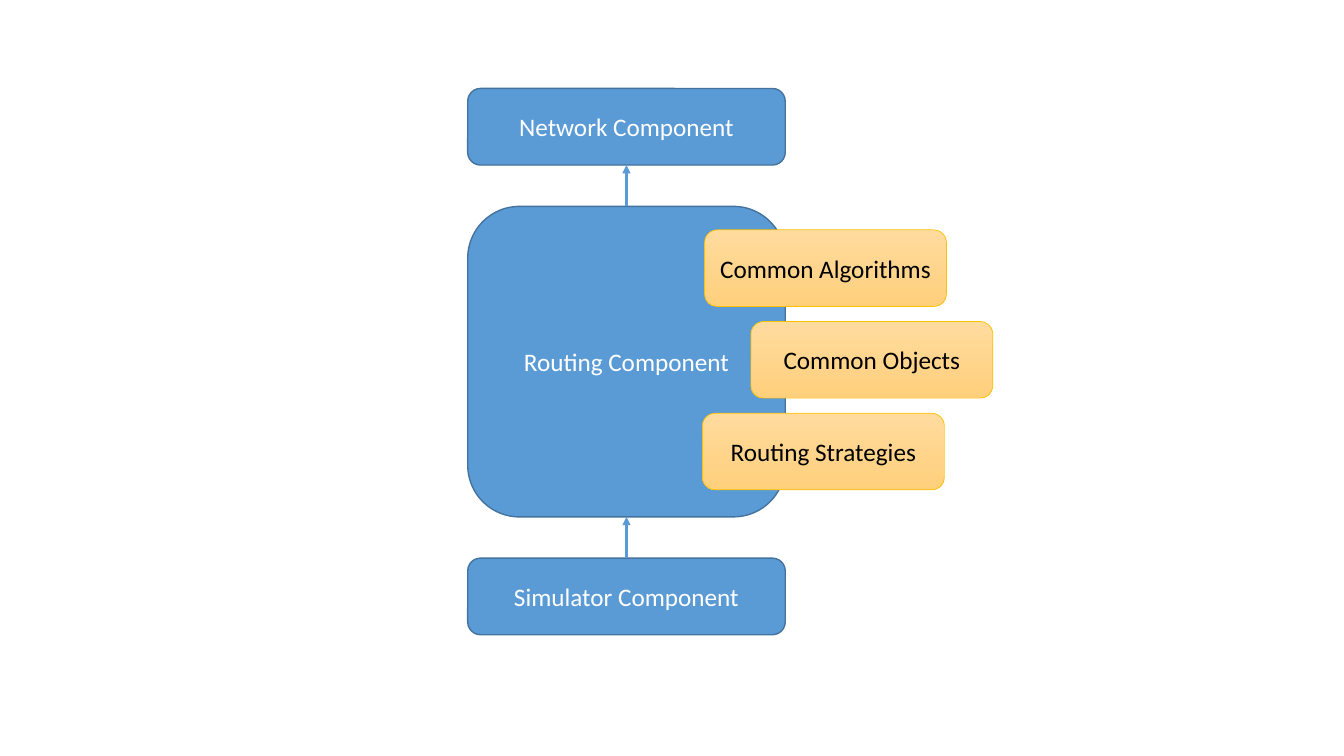
from lxml.etree import SubElement
from pptx import Presentation
from pptx.dml.color import RGBColor
from pptx.enum.shapes import MSO_CONNECTOR, MSO_SHAPE
from pptx.enum.text import MSO_ANCHOR, PP_ALIGN
from pptx.oxml.ns import qn
from pptx.util import Pt

BLUE, BLUE_EDGE = "5B9BD5", "43739E"
AMBER, AMBER_EDGE = ("FFDB9E", "FFD07C"), "FFC000"
TOP_SITE, BOTTOM_SITE = 0, 2


def color(hex_string):
    return RGBColor.from_string(hex_string)


def write(shape, text, font="Calibri", size=18, ink="FFFFFF"):
    frame = shape.text_frame
    frame.word_wrap = True
    frame.vertical_anchor = MSO_ANCHOR.MIDDLE
    para = frame.paragraphs[0]
    para.alignment = PP_ALIGN.CENTER
    span = para.add_run()
    span.text = text
    span.font.name = font
    span.font.size = Pt(size)
    span.font.color.rgb = color(ink)


class Diagram:
    def __init__(self, page):
        self.page = page

    def box(self, text, left, top, width, height, fill, edge, weight, ink):
        """Rounded box; a pair of fill colours makes a vertical gradient."""
        box = self.page.shapes.add_shape(
            MSO_SHAPE.ROUNDED_RECTANGLE, Pt(left), Pt(top), Pt(width), Pt(height))
        box.shadow.inherit = False
        if isinstance(fill, tuple):
            box.fill.gradient()
            box.fill.gradient_angle = 270
            for stop, shade in zip(box.fill.gradient_stops, fill):
                stop.color.rgb = color(shade)
        else:
            box.fill.solid()
            box.fill.fore_color.rgb = color(fill)
        box.line.color.rgb = color(edge)
        box.line.width = Pt(weight)
        write(box, text, ink=ink)
        return box

    def component(self, text, top, height):
        return self.box(text, 334.1, top, 226.8, height, BLUE, BLUE_EDGE, 1, "FFFFFF")

    def subcomponent(self, text, left, top):
        return self.box(text, left, top, 172.8, 54.7, AMBER, AMBER_EDGE, 0.5, "000000")

    def arrow_up(self, lower, upper):
        arrow = self.page.shapes.add_connector(MSO_CONNECTOR.STRAIGHT, 0, 0, 0, 0)
        arrow.begin_connect(lower, TOP_SITE)
        arrow.end_connect(upper, BOTTOM_SITE)
        arrow.line.color.rgb = color(BLUE)
        arrow.line.width = Pt(1.5)
        properties = arrow._element.spPr
        SubElement(properties.find(qn("a:ln")), qn("a:tailEnd"), type="triangle")
        SubElement(properties, qn("a:effectLst"))


deck = Presentation()
deck.slide_width, deck.slide_height = Pt(960), Pt(540)
diagram = Diagram(deck.slides.add_slide(deck.slide_layouts[6]))

# Component stack with equal gaps
GAP = 29.5
top = 63.2
components = []
for name, height in [("Network Component", 54.7),
                     ("Routing Component", 221.8),
                     ("Simulator Component", 54.7)]:
    components.append(diagram.component(name, top, height))
    top += height + GAP

# Subcomponents of the routing component
for row, (name, left) in enumerate([("Common Algorithms", 503.3),
                                    ("Common Objects", 536.4),
                                    ("Routing Strategies", 501.8)]):
    diagram.subcomponent(name, left, 164.2 + row * 65.5)

# Arrows from each component to the one above
for upper, lower in zip(components, components[1:]):
    diagram.arrow_up(lower, upper)

deck.save("out.pptx")
